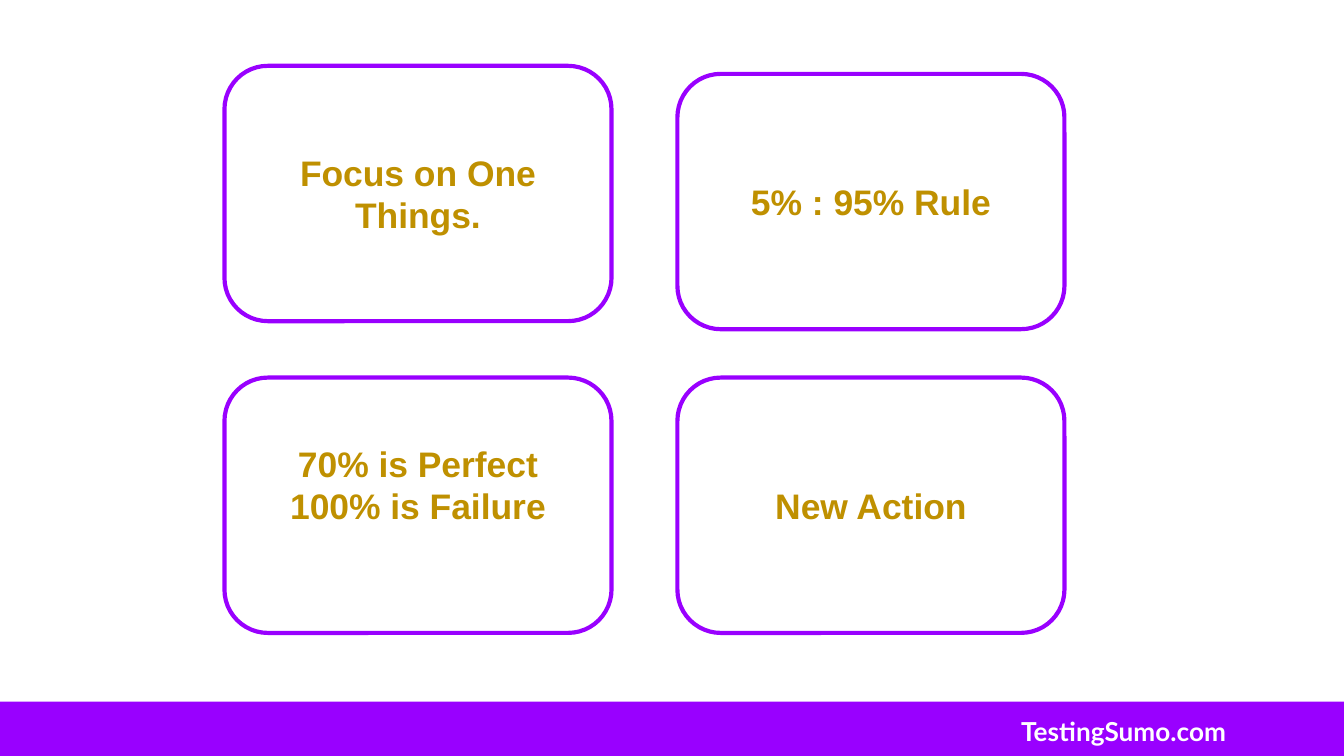
import pptx
import pptx.dml.color
import pptx.enum.shapes
import pptx.enum.text
import pptx.util

Inches = pptx.util.Inches
Pt = pptx.util.Pt
SHAPES = pptx.enum.shapes.MSO_SHAPE
ALIGN = pptx.enum.text.PP_ALIGN
ANCHOR = pptx.enum.text.MSO_ANCHOR


def color(value):
    return pptx.dml.color.RGBColor.from_string(value)


def write(frame, text, align, anchor, bottom, font_format, font_color):
    frame_format = {
        "word_wrap": True,
        "vertical_anchor": anchor,
        "margin_left": Inches(0.1),
        "margin_right": Inches(0.1),
        "margin_top": Inches(0.1),
        "margin_bottom": Inches(bottom),
    }
    for key, value in frame_format.items():
        setattr(frame, key, value)
    paragraph = frame.paragraphs[0]
    paragraph.text = text
    paragraph.alignment = align
    for run in paragraph.runs:
        for key, value in font_format.items():
            setattr(run.font, key, value)
        run.font.color.rgb = color(font_color)


PURPLE = "9900FF"
GOLD = "BF9000"
WHITE = "FFFFFF"
site_font = {"name": "Lato", "size": Pt(14), "bold": True}
card_font = {"name": "Arial", "size": Pt(19), "bold": True}

presentation = pptx.Presentation()
presentation.slide_width = Inches(10)
presentation.slide_height = Inches(10) * 9 // 16
slide = presentation.slides.add_slide(presentation.slide_layouts[6])

footer_top = Inches(5.22)
footer_height = presentation.slide_height - footer_top
footer = slide.shapes.add_shape(
    SHAPES.RECTANGLE, Inches(0), footer_top, Inches(10), footer_height
)
footer.shadow.inherit = False
footer.fill.solid()
footer.fill.fore_color.rgb = color(PURPLE)
footer.line.fill.background()

site = slide.shapes.add_textbox(Inches(7.5), footer_top, Inches(2.5), footer_height)
write(site.text_frame, "TestingSumo.com", ALIGN.LEFT, ANCHOR.TOP, 0.1, site_font, WHITE)

left_column, right_column = 1.67, 5.04
bottom_row = 2.81
principles = [
    (left_column, 0.49, "Focus on One Things.", 0.1),
    (left_column, bottom_row, "70% is Perfect\n100% is Failure", 0.41),
    (right_column, 0.55, "5% : 95% Rule", 0.1),
    (right_column, bottom_row, "New Action", 0.1),
]
for left, top, text, bottom in principles:
    card = slide.shapes.add_shape(
        SHAPES.ROUNDED_RECTANGLE, Inches(left), Inches(top), Inches(2.88), Inches(1.9)
    )
    card.adjustments[0] = 0.17
    card.shadow.inherit = False
    card.fill.background()
    card.line.color.rgb = color(PURPLE)
    card.line.width = Pt(2.25)
    write(card.text_frame, text, ALIGN.CENTER, ANCHOR.MIDDLE, bottom, card_font, GOLD)

presentation.save("out.pptx")
